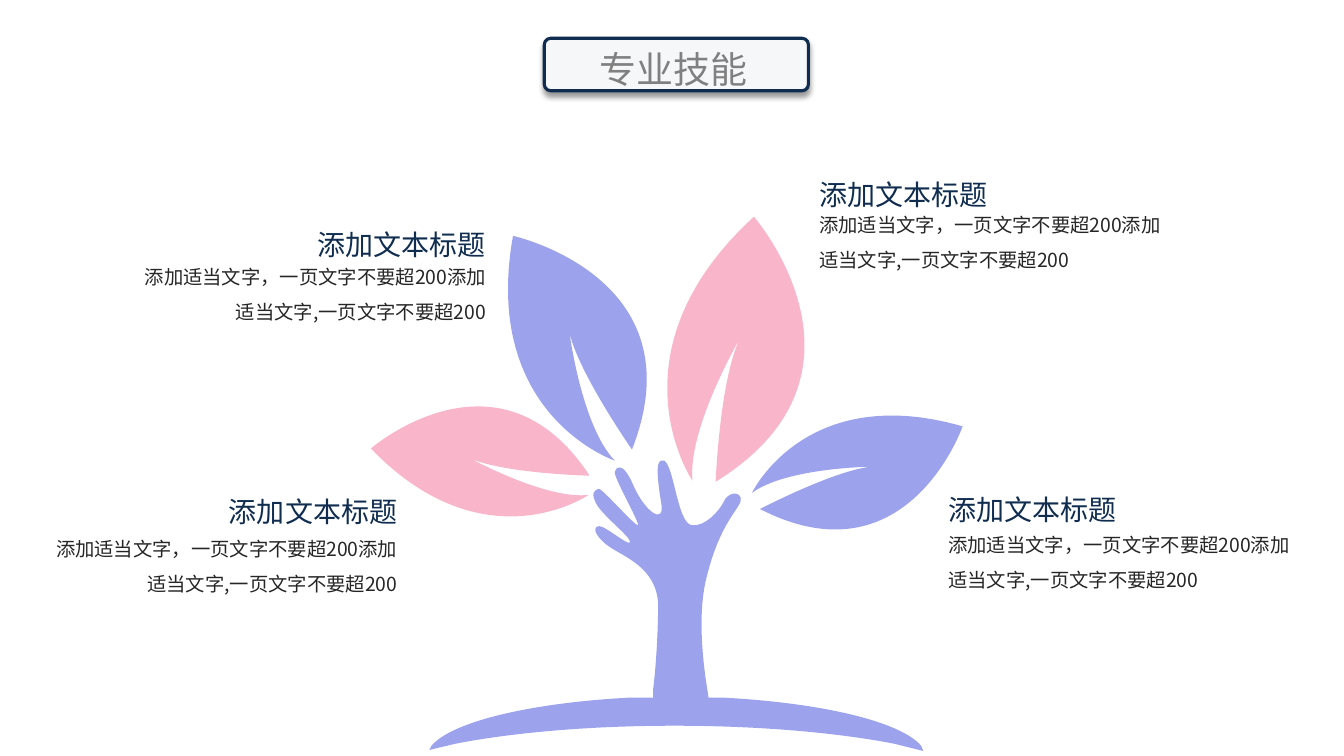
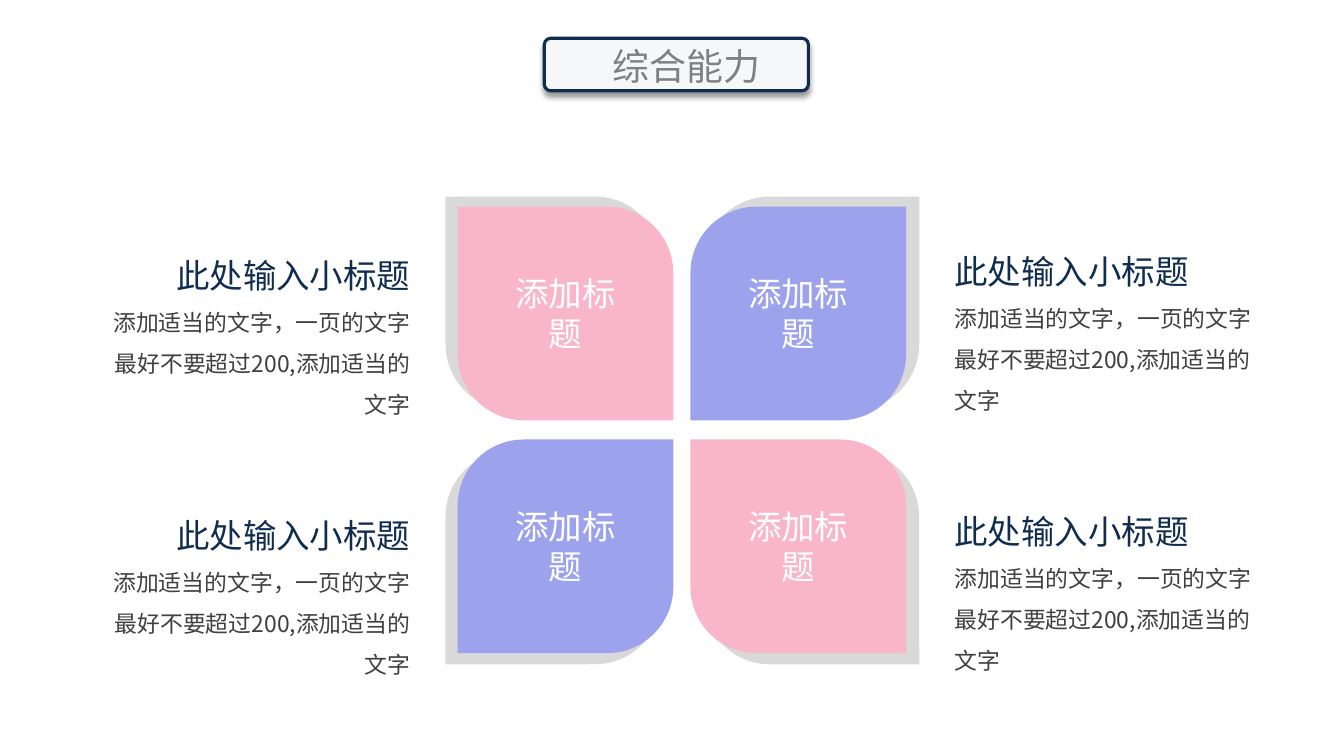
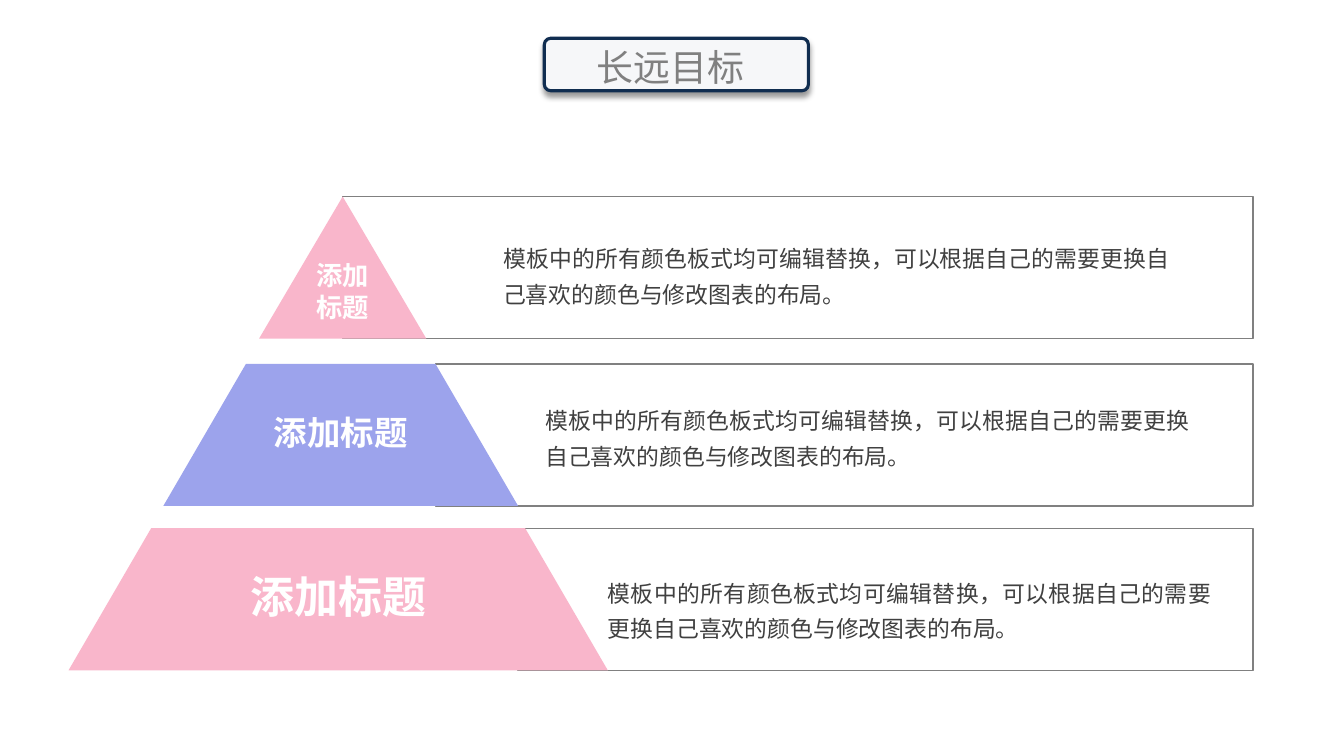
from lxml.etree import Element, SubElement as Sub
from pptx import Presentation
from pptx.dml.color import RGBColor as RGB
from pptx.enum.shapes import MSO_SHAPE as Kind
from pptx.enum.text import MSO_ANCHOR as Anchor, MSO_AUTO_SIZE as Auto, PP_ALIGN as Align
from pptx.oxml.ns import qn
from pptx.util import Inches, Pt

COLS, ROWS = 40 / 3, 7.5
CELL = Inches(1)
FONT = "Noto Sans CJK SC"
NAVY = RGB(0x10, 0x2D, 0x50)
PALE = RGB(0xF6, 0xF7, 0xF9)
BLUE = RGB(0x9C, 0xA3, 0xEC)
PINK = RGB(0xF9, 0xB6, 0xCB)
SILVER = RGB(0xD9, 0xD9, 0xD9)
GREY = RGB(0x80, 0x80, 0x80)
DARK = RGB(0x40, 0x40, 0x40)
INK = RGB(0x26, 0x26, 0x26)
WHITE = RGB(0xFF, 0xFF, 0xFF)

TIP = "添加适当文字，一页文字不要超200添加适当文字,一页文字不要超200"
NOTE = "添加适当的文字，一页的文字最好不要超过200,添加适当的文字"
GOAL = "模板中的所有颜色板式均可编辑替换，可以根据自己的需要更换自己喜欢的颜色与修改图表的布局。"

LEAVES = [
    (BLUE, [(3.1, 2.57), (1.77, 2.12, 2.09, 0.34), (3.94, 0.75, 3.27, 2.46),
            (2.74, 1.7, 2.65, 1.3), (2.77, 2.23, 3.1, 2.57)]),
    (PINK, [(3.87, 2.77), (3.01, 1.5, 4.48, 0.15), (5.83, 1.71, 4.1, 2.78),
            (4.14, 1.77, 4.34, 1.36), (3.82, 2.25, 3.87, 2.77)]),
    (BLUE, [(4.46, 2.89), (4.99, 1.78, 6.55, 2.23), (6, 3.8, 4.54, 3.05),
            (5.27, 2.67, 5.64, 2.63), (4.8, 2.64, 4.46, 2.89)]),
    (PINK, [(2.84, 2.91), (1.81, 3.62, 0.68, 2.45), (1.95, 1.35, 2.85, 2.72),
            (2.02, 2.7, 1.67, 2.55), (2.42, 2.96, 2.84, 2.91)]),
]
HAND = [
    (3.56, 2.57), (3.57, 2.57, 3.58, 2.57, 3.59, 2.57),
    (3.69, 2.63, 3.72, 3.18, 3.86, 3.21), (4, 3.23, 4.14, 3.06, 4.18, 2.98),
    (4.21, 2.9, 4.32, 2.86, 4.35, 2.94), (4.37, 3.03, 4.15, 3.15, 4.01, 3.73),
    (3.93, 4.04, 3.96, 4.47, 4.01, 4.79), (4.03, 4.92), (4.15, 4.92),
    (5.15, 4.97, 5.94, 5.16, 6.14, 5.4), (6.16, 5.45), (5.88, 5.38),
    (5.32, 5.27, 4.54, 5.2, 3.69, 5.2), (2.84, 5.2, 2.07, 5.27, 1.51, 5.38),
    (1.26, 5.44), (1.28, 5.4), (1.48, 5.16, 2.27, 4.97, 3.27, 4.92),
    (3.48, 4.92), (3.48, 4.84), (3.51, 4.61, 3.53, 4.24, 3.53, 4),
    (3.52, 3.63, 3.18, 3.52, 3.04, 3.42), (2.9, 3.32, 2.87, 3.22, 2.95, 3.22),
    (3.02, 3.23, 3.24, 3.42, 3.25, 3.38), (3.27, 3.34, 3.01, 3.14, 2.93, 3.02),
    (2.85, 2.89, 2.9, 2.86, 2.94, 2.85), (2.97, 2.84, 3.31, 3.23, 3.33, 3.21),
    (3.35, 3.19, 3.08, 2.72, 3.1, 2.68), (3.11, 2.64, 3.18, 2.56, 3.29, 2.83),
    (3.41, 3.09, 3.6, 3.21, 3.56, 2.99), (3.53, 2.8, 3.5, 2.58, 3.56, 2.57),
]


def grid(*cells):
    """Turn grid cells into slide lengths."""
    return [round(n * CELL) for n in cells]


def paint(shape, fill=None, line=None, width=1):
    """Set the fill and outline of a shape and drop its shadow."""
    shape.shadow.inherit = False
    if fill is None:
        shape.fill.background()
    else:
        shape.fill.solid()
        shape.fill.fore_color.rgb = fill
    if line is None:
        shape.line.fill.background()
    else:
        shape.line.color.rgb = line
        shape.line.width = Pt(width)
    return shape


def block(slide, kind, box, fill=None, line=None, width=1):
    """Add a painted preset shape."""
    return paint(slide.shapes.add_shape(kind, *grid(*box)), fill, line, width)


def trace(slide, origin, route, fill):
    """Add a closed outline of lines (2 numbers) and curves (4 or 6) from an origin."""
    left, top = origin
    spots, sizes = [route[0]], []
    for part in route[1:]:
        pairs = list(zip(part[::2], part[1::2]))
        if len(pairs) == 2:
            pairs.insert(0, spots[-1])
        spots += pairs
        sizes.append(len(pairs))
    spots = [grid(left + x, top + y) for x, y in spots]
    pen = slide.shapes.build_freeform(*spots[0], scale=1.0)
    pen.add_line_segments(spots[1:], close=True)
    shape = pen.convert_to_shape()
    track = shape.element.spPr.find(".//" + qn("a:path"))
    legs = iter(track.findall(qn("a:lnTo")))
    for size in sizes:
        group = [next(legs) for _ in range(size)]
        if size == 3:
            curve = Element(qn("a:cubicBezTo"))
            group[0].addprevious(curve)
            for leg in group:
                curve.append(leg[0])
                track.remove(leg)
    return paint(shape, fill)


def write(shape, lines, align=Align.LEFT, inset=(0.1, 0.05, 0.1, 0.05),
          anchor=Anchor.TOP, space=None, before=None, bold=False, grow=False):
    """Fill a shape with lines of (text, size, colour)."""
    frame = shape.text_frame
    frame.word_wrap = True
    frame.auto_size = Auto.SHAPE_TO_FIT_TEXT if grow else Auto.NONE
    frame.vertical_anchor = anchor
    (frame.margin_left, frame.margin_top,
     frame.margin_right, frame.margin_bottom) = grid(*inset)
    for i, (text, size, color) in enumerate(lines):
        para = frame.paragraphs[0] if i == 0 else frame.add_paragraph()
        para.alignment = align
        if space:
            para.line_spacing = space
        if before:
            para.space_before = Pt(before)
        run = para.add_run()
        run.text = text
        font = run.font
        font.name, font.size, font.bold = FONT, Pt(size), bold
        font.color.rgb = color
        Sub(run._r.get_or_add_rPr(), qn("a:ea"), typeface=FONT)


def label(slide, box, lines, **style):
    """Add a text box."""
    write(slide.shapes.add_textbox(*grid(*box)), lines, **style)


def badge(layout, slide):
    """Put the title plate on the shared layout."""
    plate = block(slide, Kind.ROUNDED_RECTANGLE, (5.4, 0.38, 2.62, 0.52), PALE, NAVY, 2.25)
    plate.adjustments[0] = 0.12
    glow = plate.element.spPr.find(qn("a:effectLst"))
    shade = Sub(glow, qn("a:outerShdw"), blurRad=str(Pt(4)), dist=str(Pt(3)),
                dir="5400000", algn="t", rotWithShape="0")
    Sub(Sub(shade, qn("a:srgbClr"), val="000000"), qn("a:alpha"), val="40000")
    layout.shapes.element.append(plate.element)


def title(slide, x, y, text):
    """Write the slide title over the plate."""
    label(slide, (x, y, 2.89, 0.54), [(text, 26.4, GREY)], grow=True)


def tree(slide, origin):
    """Draw the hand tree with its four leaves."""
    for fill, route in LEAVES + [(BLUE, HAND)]:
        trace(slide, origin, route, fill)


def tip(slide, x, y, drop, align):
    """Place a heading with a two-line text below it."""
    wide, head = 3.7, 1.96
    shift = wide - head if align == Align.RIGHT else 0
    style = dict(align=align, space=1.5, grow=True)
    label(slide, (x + shift, y, head, 0.61), [("添加文本标题", 20, NAVY)], **style)
    label(slide, (x, y + drop, wide, 0.8), [(TIP, 13.8, INK)], **style)


def petal(slide, box, fill, turned):
    """Draw a square with two opposite corners rounded."""
    leaf = block(slide, Kind.ROUND_2_DIAG_RECTANGLE, box, fill)
    leaf.adjustments[0], leaf.adjustments[1] = (0, 0.31) if turned else (0.31, 0)
    return leaf


def flower(slide, back, front):
    """Lay four petals in the corners of a box, each over a grey one."""
    wide, high = 2.14, 2.12
    for row in (0, 1):
        for col in (0, 1):
            turned = col == row
            for (x, y, w, h), fill in ((back, SILVER), (front, PINK if turned else BLUE)):
                spot = (x + col * (w - wide), y + row * (h - high), wide, high)
                leaf = petal(slide, spot, fill, turned)
            write(leaf, [(text, 23.9, WHITE) for text in ("添加标", "题")], Align.CENTER,
                  (0.16, 0.08, 0.16, 0.08), Anchor.MIDDLE)


def note(slide, x, y, align):
    """Place a heading and text in one box."""
    label(slide, (x, y, 3.41, 1.55), [("此处输入小标题", 23.9, NAVY), (NOTE, 16.3, DARK)],
          align=align, space=1.5, inset=(0.13, 0.06, 0.13, 0.06), grow=True)


def tier(slide, box, slant, fill, lines, size, pad, edge, text):
    """Draw one pyramid step, its frame and its text."""
    x, y, w, h = box
    tx, ty, tw = text
    block(slide, Kind.RECTANGLE, (edge, y, 12.43 - edge, h), None, GREY)
    step = trace(slide, (x, y), [(0, h), (slant, 0), (w - slant, 0), (w, h)], fill)
    write(step, [(line, size, WHITE) for line in lines], Align.CENTER,
          (0.13, pad, 0.13, 0.06), Anchor.MIDDLE, bold=True)
    label(slide, (tx, y + ty, tw, 0.98), [(GOAL, 16.3, DARK)], align=Align.JUSTIFY,
          inset=(0, 0, 0, 0), anchor=Anchor.MIDDLE, space=1.3, before=7.5)


def skills(slide):
    """Build the tree slide."""
    title(slide, 5.85, 0.41, "专业技能")
    tree(slide, (3, 2))
    for x, y, drop, align in ((8.03, 1.54, 0.41, Align.LEFT), (9.31, 4.67, 0.46, Align.LEFT),
                              (1.22, 2.04, 0.43, Align.RIGHT), (0.34, 4.69, 0.48, Align.RIGHT)):
        tip(slide, x, y, drop, align)


def talents(slide):
    """Build the petal slide."""
    title(slide, 5.98, 0.38, "综合能力")
    flower(slide, (4.42, 1.95, 4.7, 4.64), (4.54, 2.05, 4.45, 4.43))
    for x, y, align in ((9.34, 2.23, Align.LEFT), (0.79, 2.27, Align.RIGHT)):
        for row in (0, 1):
            note(slide, x, y + row * 2.58, align)


def goals(slide):
    """Build the pyramid slide."""
    title(slide, 5.82, 0.39, "长远目标")
    tiers = (
        (2.57, 1.95, 1.66, 0.83, PINK, ["添加", "标题"], 18.8, 0.52, 3.4, (4.99, 0.26, 6.62)),
        (1.62, 3.61, 3.52, 0.82, BLUE, ["添加标题"], 23.9, 0, 4.32, (5.41, 0.21, 6.4)),
        (0.68, 5.24, 5.35, 0.82, PINK, ["添加标题"], 31.4, 0, 5.14, (6.03, 0.29, 5.99)),
    )
    for x, y, w, *rest in tiers:
        tier(slide, (x, y, w, 1.41), *rest)


def main():
    """Build the three slides and save them."""
    deck = Presentation()
    deck.slide_width, deck.slide_height = grid(COLS, ROWS)
    blank = deck.slide_layouts[6]
    for i, build in enumerate((skills, talents, goals)):
        slide = deck.slides.add_slide(blank)
        if i == 0:
            badge(blank, slide)
        build(slide)
    deck.save("out.pptx")


if __name__ == "__main__":
    main()
